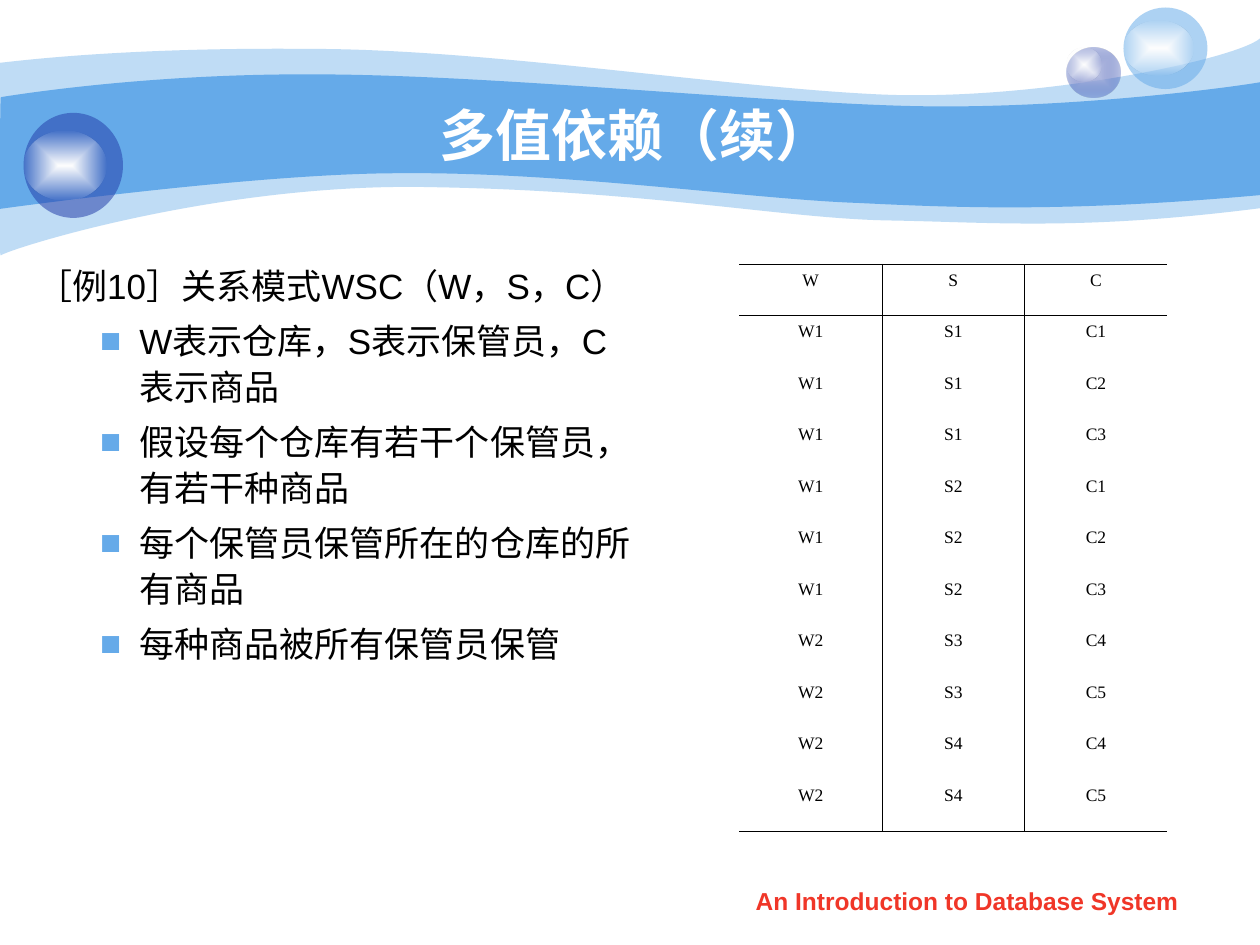
"""Build the lecture slide on multivalued dependency."""
from dataclasses import dataclass

from lxml import etree
from pptx import Presentation
from pptx.dml.color import RGBColor
from pptx.enum.shapes import MSO_SHAPE
from pptx.enum.text import MSO_ANCHOR, MSO_AUTO_SIZE, PP_ALIGN
from pptx.oxml.ns import qn
from pptx.util import Pt


@dataclass(frozen=True)
class Theme:
    sky: str = "65AAE9"
    navy: str = "233DA9"
    lavender: str = "C6CCE8"
    white: str = "FFFFFF"
    clear: str = "FEFEFE"
    black: str = "000000"
    red: str = "F03628"
    sans: str = "Arial"
    serif: str = "Times New Roman"
    title_size: float = 32
    body_size: float = 20
    footer_size: float = 14
    table_size: float = 10
    rule: float = 0.45
    plain_table: str = "{2D5ABB26-0587-4C30-8999-92F81FD0307C}"


THEME = Theme()

BACK_WAVE = ((-0.5, 36), [
    ((17, 34), (77, 27), (178, 28)), ((278, 28), (414, 50), (503, 54)),
    ((592, 58), (706, 34), (720, 22)), ((720, 119),),
    ((618, 132), (567, 127), (508, 126)), ((448, 125), (371, 109), (247, 107)),
    ((124, 104), (3, 143), (0.5, 146)), ((-1, 150), (-0.5, 54), (-0.5, 36))])
FRONT_WAVE = ((0.5, 55.5), [
    ((1, 55.5), (79, 42), (179, 42.5)), ((278, 42.5), (428, 58), (517, 60.5)),
    ((606, 63), (703, 50), (720, 47)), ((720, 111.5),),
    ((614, 121), (551, 119), (491, 116)), ((431, 114), (322, 98), (228, 99)),
    ((146, 99), (-1.5, 119.5), (-1, 119.5)), ((0, 119.5), (0, 55.5), (0.5, 55.5))])
HEADING = "［例10］关系模式WSC（W，S，C）"
BULLETS = ["W表示仓库，S表示保管员，C表示商品",
           "假设每个仓库有若干个保管员，有若干种商品",
           "每个保管员保管所在的仓库的所有商品",
           "每种商品被所有保管员保管"]
STOCK = [("W1", ("S1", "S2"), ("C1", "C2", "C3")),
         ("W2", ("S3", "S4"), ("C4", "C5"))]


def child(parent, tag, **attributes):
    """Append a DrawingML element and return it."""
    element = etree.SubElement(parent, qn(f"a:{tag}"))
    for name, value in attributes.items():
        element.set(name, str(value))
    return element


def add_color(parent, color, opacity=100):
    """Append an RGB colour with its opacity in percent."""
    element = child(parent, "srgbClr", val=color)
    if opacity < 100:
        child(element, "alpha", val=opacity * 1000)


def solid(color, opacity=100):
    """Return a solid fill element."""
    fill = etree.Element(qn("a:solidFill"))
    add_color(fill, color, opacity)
    return fill


def glow(center, edge, edge_opacity):
    """Return a rectangular gradient fill running from center to edge."""
    fill = etree.Element(qn("a:gradFill"))
    stops = child(fill, "gsLst")
    for position, color, opacity in ((0, center, 100), (100, edge, edge_opacity)):
        add_color(child(stops, "gs", pos=position * 1000), color, opacity)
    path = child(fill, "path", path="rect")
    child(path, "fillToRect", l=50000, t=50000, r=50000, b=50000)
    return fill


def paint(shape, fill):
    """Give a shape its fill, without outline or shadow."""
    shape.element.spPr.insert(2, fill)
    shape.line.fill.background()
    shape.shadow.inherit = False


def add_wave(slide, outline, fill):
    """Draw a closed outline of cubic curves and straight edges."""
    start, pieces = outline
    builder = slide.shapes.build_freeform(Pt(start[0]), Pt(start[1]))
    builder.add_line_segments([(Pt(x), Pt(y)) for piece in pieces for x, y in piece], close=True)
    shape = builder.convert_to_shape()
    corners = iter(list(shape.element.iter(qn("a:lnTo"))))
    for piece in pieces:
        lines = [next(corners) for _ in piece]
        if len(lines) == 3:
            curve = etree.Element(qn("a:cubicBezTo"))
            lines[0].addprevious(curve)
            for line in lines:
                curve.append(line[0])
                line.getparent().remove(line)
    paint(shape, fill)


def add_sphere(slide, ball_box, ball_fill, shine_box):
    """Draw a ball with a bright spot as one group."""
    group = slide.shapes.add_group_shape()
    shine = glow(THEME.white, THEME.clear, 0)
    for box, fill in ((ball_box, ball_fill), (shine_box, shine)):
        paint(group.shapes.add_shape(MSO_SHAPE.OVAL, *map(Pt, box)), fill)


def write(paragraph, text, *, size, color=THEME.black, font=THEME.sans,
          bold=False, align=PP_ALIGN.LEFT):
    """Write formatted text into a paragraph."""
    paragraph.alignment = align
    run = paragraph.add_run()
    run.text = text
    run.font.size = Pt(size)
    run.font.name = font
    run.font.bold = bold
    run.font.color.rgb = RGBColor.from_string(color)


def place(shape, left, top, width, height, anchor=MSO_ANCHOR.TOP):
    """Bring a text shape to the front, position it and return its frame."""
    shape.left, shape.top, shape.width, shape.height = map(Pt, (left, top, width, height))
    shape.element.getparent().append(shape.element)
    frame = shape.text_frame
    frame.word_wrap = True
    frame.auto_size = MSO_AUTO_SIZE.NONE
    frame.vertical_anchor = anchor
    return frame


def set_bullet(paragraph, margin, hanging, bullet=None):
    """Set the hanging indent and the bullet of a paragraph."""
    properties = paragraph._p.get_or_add_pPr()
    properties.set("marL", str(Pt(margin)))
    properties.set("indent", str(Pt(-hanging)))
    if bullet:
        add_color(child(properties, "buClr"), THEME.sky)
        child(properties, "buFont", typeface=THEME.sans)
        child(properties, "buChar", char=bullet)
    else:
        child(properties, "buNone")


def fill_body(frame):
    """Write the heading line and its bullets."""
    for index, text in enumerate([HEADING, *BULLETS]):
        paragraph = frame.add_paragraph() if index else frame.paragraphs[0]
        if index:
            paragraph.level = 1
            set_bullet(paragraph, 58.5, 22.5, "■")
        else:
            set_bullet(paragraph, 27, 27)
        paragraph.line_spacing = 1.1
        paragraph.space_before = Pt(5 if index else 0)
        write(paragraph, text, size=THEME.body_size)


def set_borders(cell, sides):
    """Rule the sides of a cell marked true and clear the others."""
    properties = cell._tc.get_or_add_tcPr()
    for side, shown in sides.items():
        line = child(properties, f"ln{side}", w=Pt(THEME.rule))
        line.append(solid(THEME.black) if shown else etree.Element(qn("a:noFill")))


def add_relation(slide, rows, left, top, width, height):
    """Add the relation as a table with open outer sides."""
    columns = len(rows[0])
    table = slide.shapes.add_table(len(rows), columns, *map(Pt, (left, top, width, height))).table
    table.first_row = table.horz_banding = False
    table._tbl.tblPr.find(qn("a:tableStyleId")).text = THEME.plain_table
    for r, values in enumerate(rows):
        for c, value in enumerate(values):
            cell = table.cell(r, c)
            set_borders(cell, {"L": c > 0, "R": c < columns - 1,
                               "T": r < 2, "B": r in (0, len(rows) - 1)})
            cell.fill.background()
            write(cell.text_frame.paragraphs[0], value, size=THEME.table_size,
                  font=THEME.serif, align=PP_ALIGN.CENTER)


def main():
    """Build and save the slide."""
    presentation = Presentation()
    presentation.slide_width, presentation.slide_height = Pt(720), Pt(540)
    slide = presentation.slides.add_slide(presentation.slide_layouts[1])
    add_wave(slide, BACK_WAVE, solid(THEME.sky, 41))
    add_wave(slide, FRONT_WAVE, solid(THEME.sky))
    add_sphere(slide, (609.5, 27, 30.5, 29), glow(THEME.lavender, THEME.navy, 31),
               (609.5, 27, 20, 19.5))
    add_sphere(slide, (642, 4.3, 48, 46.6), solid(THEME.sky, 53), (642, 12, 40, 31))
    add_sphere(slide, (13.5, 64.5, 56.8, 60), solid(THEME.navy, 53), (13.5, 74.5, 47.5, 40))
    title = place(slide.shapes.title, 72, 54, 582, 45, MSO_ANCHOR.MIDDLE)
    write(title.paragraphs[0], "多值依赖（续）", size=THEME.title_size, color=THEME.white,
          bold=True, align=PP_ALIGN.CENTER)
    fill_body(place(slide.placeholders[1], 14, 145, 358, 354))
    rows = [("W", "S", "C")] + [(store, keeper, item) for store, keepers, items in STOCK
                                for keeper in keepers for item in items]
    add_relation(slide, rows, 422.5, 151, 244.5, 324)
    footer = place(slide.shapes.add_textbox(0, 0, 0, 0), 411, 502.5, 283.5, 25)
    write(footer.paragraphs[0], "An Introduction to Database System", size=THEME.footer_size,
          color=THEME.red, bold=True, align=PP_ALIGN.CENTER)
    presentation.save("out.pptx")


if __name__ == "__main__":
    main()
